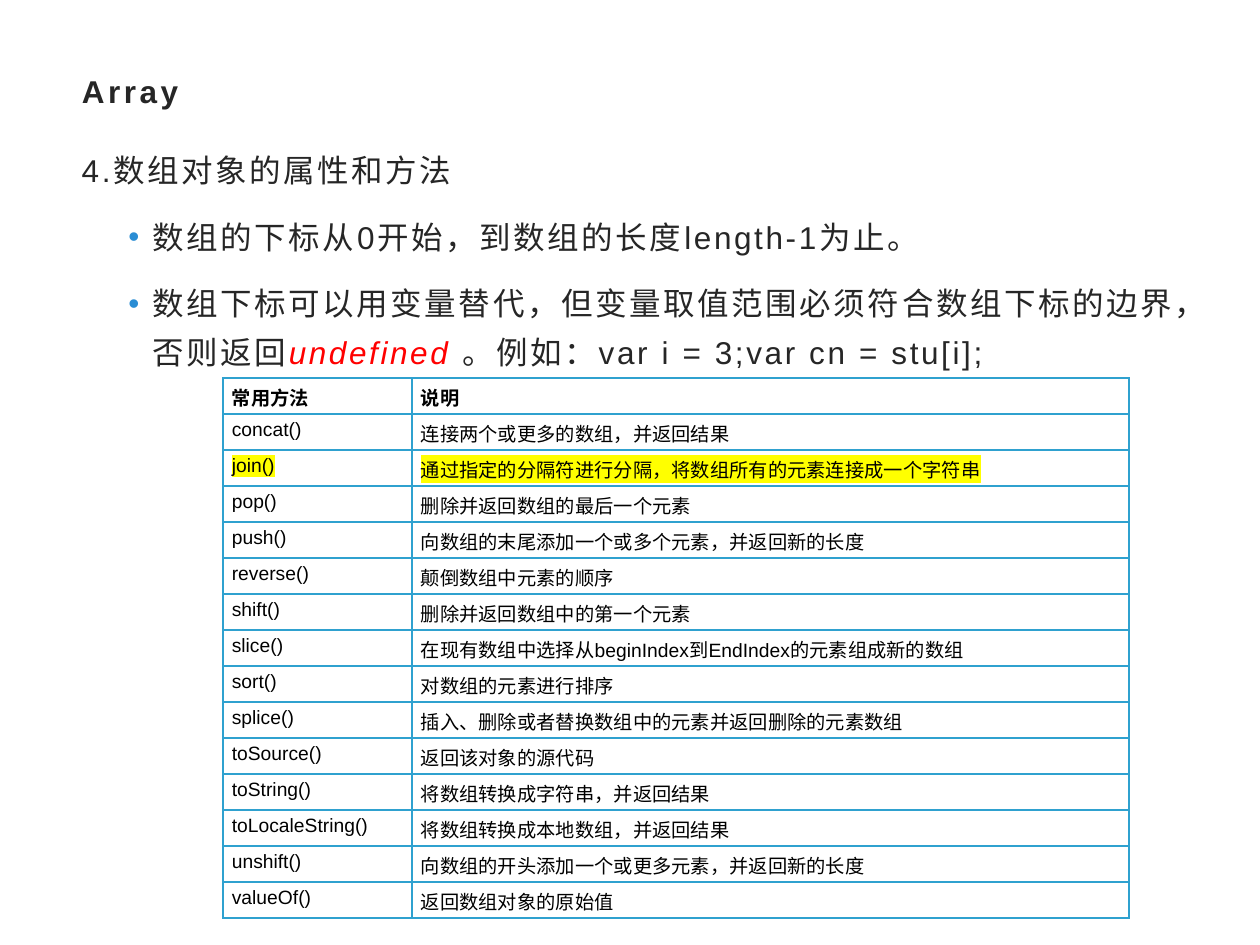
"""Build the slide on array properties and methods."""
from lxml import etree
from pptx import Presentation, util as u
from pptx.dml.color import RGBColor
from pptx.enum import text as t
from pptx.oxml.ns import qn

HUES = {"ink": "262626", "black": "000000", "red": "FF0000", "mark": "FFFF00",
        "dot": "2A8DD4", "rule": "2FA1CF"}
TITLE = "Array"
LEAD = "4.数组对象的属性和方法"
POINTS = [
    [("数组的下标从0开始，到数组的长度length-1为止。", {})],
    [("数组下标可以用变量替代，但变量取值范围必须符合数组下标的边界，否则返回", {}),
     ("undefined ", {"hue": "red", "slant": True}),
     ("。例如：var i = 3;var cn = stu[i];", {})],
]
ROWS = [
    ("常用方法", "说明"),
    ("concat()", "连接两个或更多的数组，并返回结果"),
    ("join()", "通过指定的分隔符进行分隔，将数组所有的元素连接成一个字符串"),
    ("pop()", "删除并返回数组的最后一个元素"),
    ("push()", "向数组的末尾添加一个或多个元素，并返回新的长度"),
    ("reverse()", "颠倒数组中元素的顺序"),
    ("shift()", "删除并返回数组中的第一个元素"),
    ("slice()", "在现有数组中选择从beginIndex到EndIndex的元素组成新的数组"),
    ("sort()", "对数组的元素进行排序"),
    ("splice()", "插入、删除或者替换数组中的元素并返回删除的元素数组"),
    ("toSource()", "返回该对象的源代码"),
    ("toString()", "将数组转换成字符串，并返回结果"),
    ("toLocaleString()", "将数组转换成本地数组，并返回结果"),
    ("unshift()", "向数组的开头添加一个或更多元素，并返回新的长度"),
    ("valueOf()", "返回数组对象的原始值"),
]
KEY = "join()"
COLS = (1.5, 5.69)
LEFT, TOP, HIGH = 1.77, 3, 4.29


def write(para, words, size=18, hue="ink", bold=False, slant=False, space=0, mark=None):
    run = para.add_run()
    run.text = words
    font = run.font
    font.size, font.bold, font.italic = u.Pt(size), bold, slant
    font.color.rgb = RGBColor.from_string(HUES[hue])
    props = run._r.get_or_add_rPr()
    if space:
        props.set("spc", str(int(space * 100)))
    if mark:
        light = etree.SubElement(props, qn("a:highlight"))
        etree.SubElement(light, qn("a:srgbClr"), val=HUES[mark])
    font.name = "Arial"


def indent(para, left, first):
    props = para._p.get_or_add_pPr()
    props.set("marL", str(u.Inches(left)))
    props.set("indent", str(u.Inches(first)))
    return props


def bullet(para):
    para.level = 1
    props = indent(para, 0.56, -0.19)
    tint = etree.SubElement(props, qn("a:buClr"))
    etree.SubElement(tint, qn("a:srgbClr"), val=HUES["dot"])
    etree.SubElement(props, qn("a:buFont"), typeface="Arial")
    etree.SubElement(props, qn("a:buChar"), char="•")


def border(cell):
    props = cell._tc.get_or_add_tcPr()
    for spot, side in enumerate(("lnL", "lnR", "lnT", "lnB")):
        line = etree.Element(qn("a:" + side), w=str(u.Pt(1)))
        fill = etree.SubElement(line, qn("a:solidFill"))
        etree.SubElement(fill, qn("a:srgbClr"), val=HUES["rule"])
        props.insert(spot, line)


def head(slide):
    box = slide.shapes.title
    box.left, box.top, box.width, box.height = map(u.Inches, (0.55, 0.48, 8.9, 0.48))
    frame = box.text_frame
    frame.auto_size = t.MSO_AUTO_SIZE.NONE
    frame.vertical_anchor = t.MSO_ANCHOR.MIDDLE
    para = frame.paragraphs[0]
    para.alignment = t.PP_ALIGN.LEFT
    write(para, TITLE, bold=True, space=2)


def body(slide):
    box = slide.shapes.add_textbox(*map(u.Inches, (0.55, 1.06, 9.31, 4.17)))
    frame = box.text_frame
    frame.word_wrap = True
    for num, runs in enumerate([[(LEAD, {})]] + POINTS):
        para = frame.add_paragraph() if num else frame.paragraphs[0]
        if num:
            bullet(para)
        para.line_spacing, para.space_after = 1.3, u.Pt(10)
        for words, form in runs:
            write(para, words, space=1.5, **form)


def grid(slide):
    spot = map(u.Inches, (LEFT, TOP, sum(COLS), HIGH))
    table = slide.shapes.add_table(len(ROWS), len(COLS), *spot).table
    table.first_row = table.horz_banding = False
    for col, wide in zip(table.columns, COLS):
        col.width = u.Inches(wide)
    for num, (row, pair) in enumerate(zip(table.rows, ROWS)):
        row.height = u.Inches(HIGH / len(ROWS))
        for cell, words in zip(row.cells, pair):
            cell.fill.background()
            border(cell)
            cell.margin_left = cell.margin_right = u.Inches(0.07)
            cell.margin_top = cell.margin_bottom = u.Inches(0.04)
            para = cell.text_frame.paragraphs[0]
            indent(para, 0.38, -0.38)
            write(para, words, size=11, hue="black", bold=num == 0,
                  mark="mark" if pair[0] == KEY else None)


def main():
    deck = Presentation()
    deck.slide_width, deck.slide_height = u.Inches(10), u.Inches(7.5)
    slide = deck.slides.add_slide(deck.slide_layouts[5])
    head(slide)
    body(slide)
    grid(slide)
    deck.save("out.pptx")


if __name__ == "__main__":
    main()
